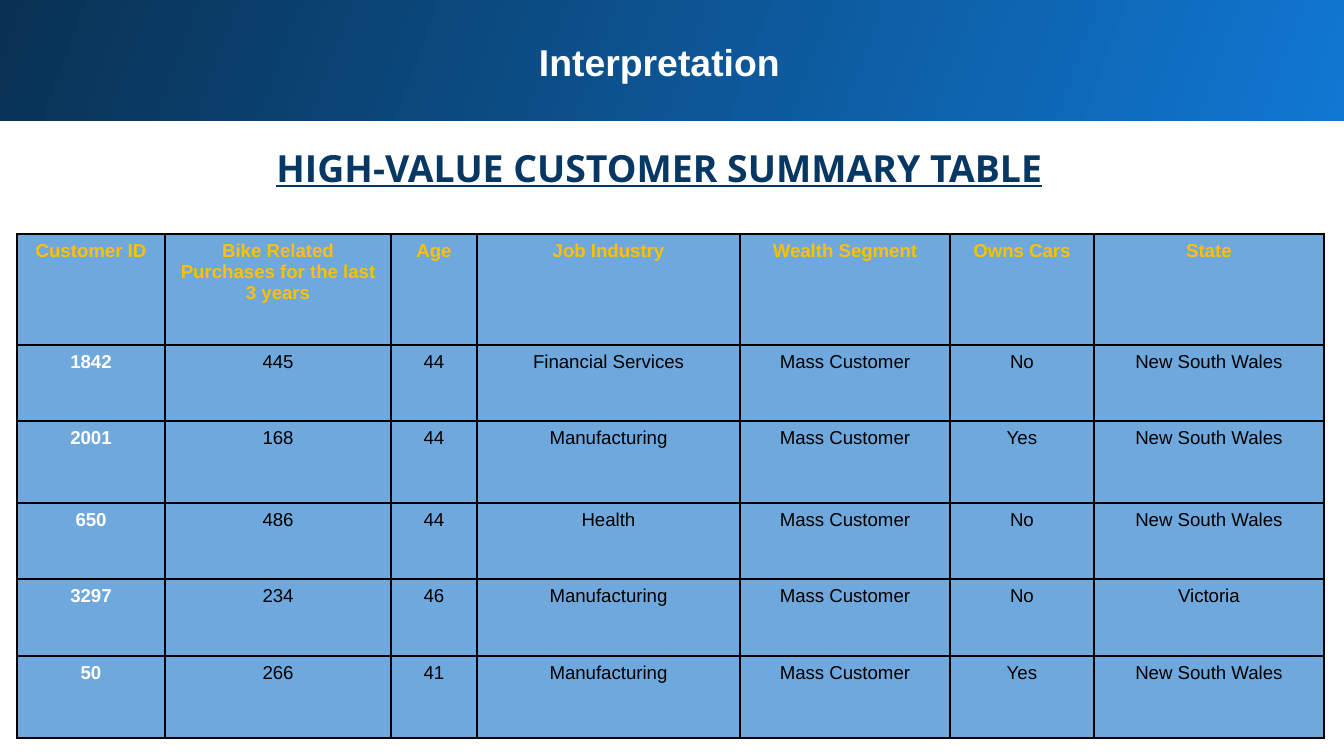
from lxml import etree
from pptx import Presentation
from pptx import util as u
from pptx.dml.color import RGBColor
from pptx.enum import shapes, text
from pptx.oxml.ns import qn

SCALE = 914400 / 134.4  # EMU per px

COLUMNS = [148, 226, 86, 263, 210, 144, 230]
ROWS = [111, 76, 82, 76, 77, 82]
CUSTOMERS = [
    ["Customer ID", "Bike Related Purchases for the last 3 years", "Age",
     "Job Industry", "Wealth Segment", "Owns Cars", "State"],
    ["1842", "445", "44", "Financial Services", "Mass Customer", "No", "New South Wales"],
    ["2001", "168", "44", "Manufacturing", "Mass Customer", "Yes", "New South Wales"],
    ["650", "486", "44", "Health", "Mass Customer", "No", "New South Wales"],
    ["3297", "234", "46", "Manufacturing", "Mass Customer", "No", "Victoria"],
    ["50", "266", "41", "Manufacturing", "Mass Customer", "Yes", "New South Wales"],
]


def px(n):
    return u.Emu(round(n * SCALE))


def rgb(value):
    return RGBColor.from_string(value)


def style(p, size, color, font="Arial", bold=True):
    p.alignment = text.PP_ALIGN.CENTER
    p.font.size = u.Pt(size)
    p.font.name = font
    p.font.bold = bold
    p.font.color.rgb = rgb(color)


def add_band(s, x, y, w, h):
    band = s.shapes.add_shape(shapes.MSO_SHAPE.RECTANGLE, px(x), px(y), px(w), px(h))
    band.shadow.inherit = False
    band.line.fill.background()
    band.fill.gradient()
    band.fill.gradient_angle = 160
    for stop, color, position in zip(band.fill.gradient_stops, ("1077D2", "093153"), (0, 1)):
        stop.color.rgb = rgb(color)
        stop.position = position
    # Behind the placeholders
    s.shapes._spTree.insert(2, band._element)


def fill_heading(sp, words, x, y, w, h, color, font):
    sp.left, sp.top, sp.width, sp.height = px(x), px(y), px(w), px(h)
    tf = sp.text_frame
    tf.text = words
    tf.word_wrap = True
    tf.auto_size = text.MSO_AUTO_SIZE.NONE
    tf.vertical_anchor = text.MSO_ANCHOR.TOP
    tf.margin_left = tf.margin_right = tf.margin_top = tf.margin_bottom = u.Inches(0.1)
    p = tf.paragraphs[0]
    p.space_before = u.Pt(0)
    style(p, 20, color, font)
    return p


def add_borders(cell, color):
    tc_pr = cell._tc.get_or_add_tcPr()
    for side in ("a:lnL", "a:lnR", "a:lnT", "a:lnB"):
        ln = etree.SubElement(tc_pr, qn(side), w=str(u.Pt(1)))
        fill = etree.SubElement(ln, qn("a:solidFill"))
        etree.SubElement(fill, qn("a:srgbClr"), val=color)


def add_customer_table(s, x, y):
    frame = s.shapes.add_table(len(ROWS), len(COLUMNS), px(x), px(y),
                               px(sum(COLUMNS)), px(sum(ROWS)))
    table = frame.table
    table.first_row = table.horz_banding = False
    for column, width in zip(table.columns, COLUMNS):
        column.width = px(width)
    for row, height in zip(table.rows, ROWS):
        row.height = px(height)
    for i, customer in enumerate(CUSTOMERS):
        for j, value in enumerate(customer):
            cell = table.cell(i, j)
            cell.text = value
            add_borders(cell, "000000")
            cell.fill.solid()
            cell.fill.fore_color.rgb = rgb("6FA8DC")
            color = "FFC000" if i == 0 else "FFFFFF" if j == 0 else "000000"
            style(cell.text_frame.paragraphs[0], 10, color, bold=i == 0 or j == 0)


def main():
    prs = Presentation()
    prs.slide_width, prs.slide_height = px(1344), px(756)
    s = prs.slides.add_slide(prs.slide_layouts[0])

    # Header band and headings
    add_band(s, -3, -3, 1351, 124)
    fill_heading(s.shapes.title, "Interpretation", 30, 26, 1259, 86, "FFFFFF", "Arial")
    p = fill_heading(s.placeholders[1], "HIGH-VALUE CUSTOMER SUMMARY TABLE",
                     30, 125, 1259, 75, "073763", "Open Sans")
    p.line_spacing = 1.15
    p.font.underline = True

    # Customer table
    add_customer_table(s, 17, 234)
    prs.save("out.pptx")


if __name__ == "__main__":
    main()
